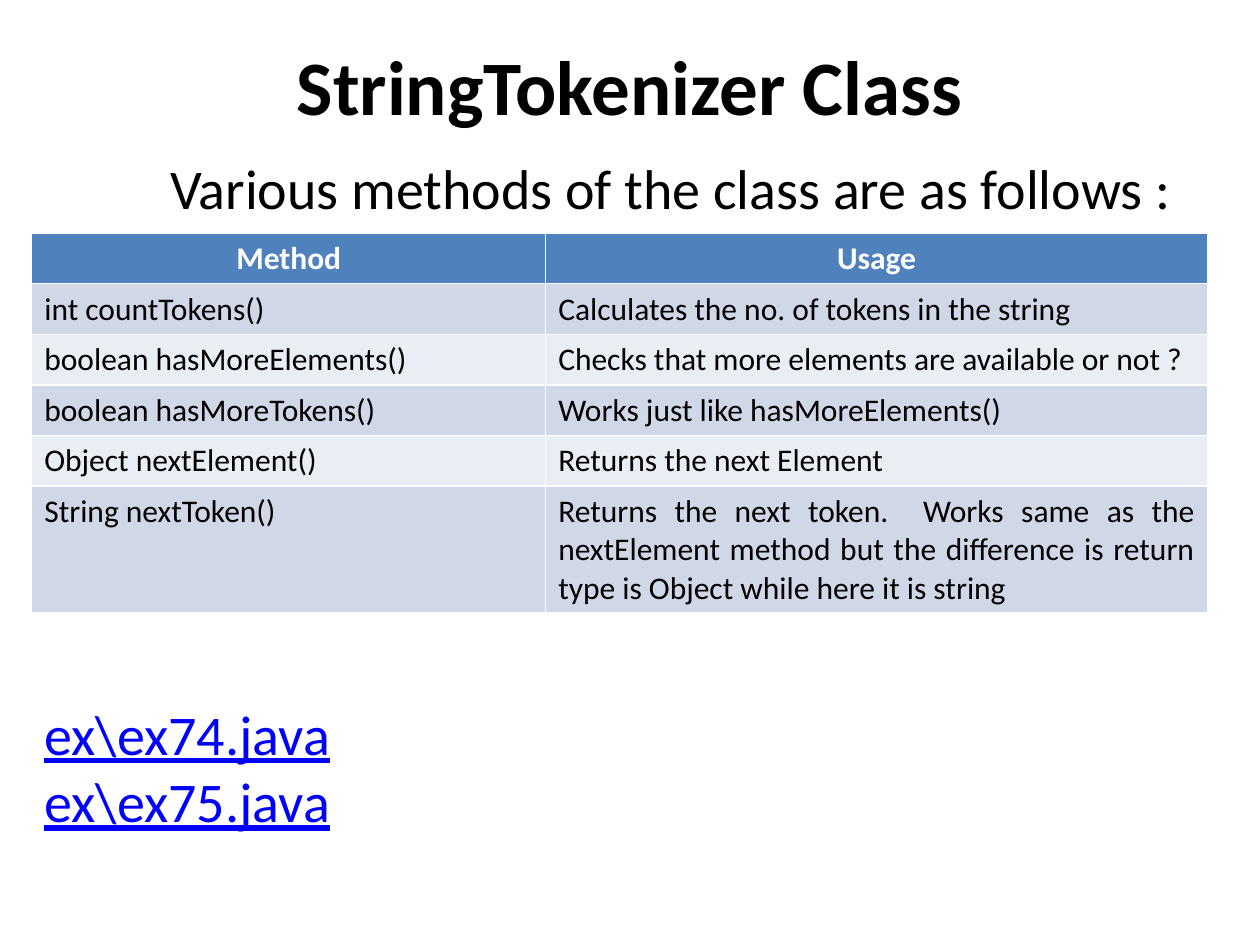
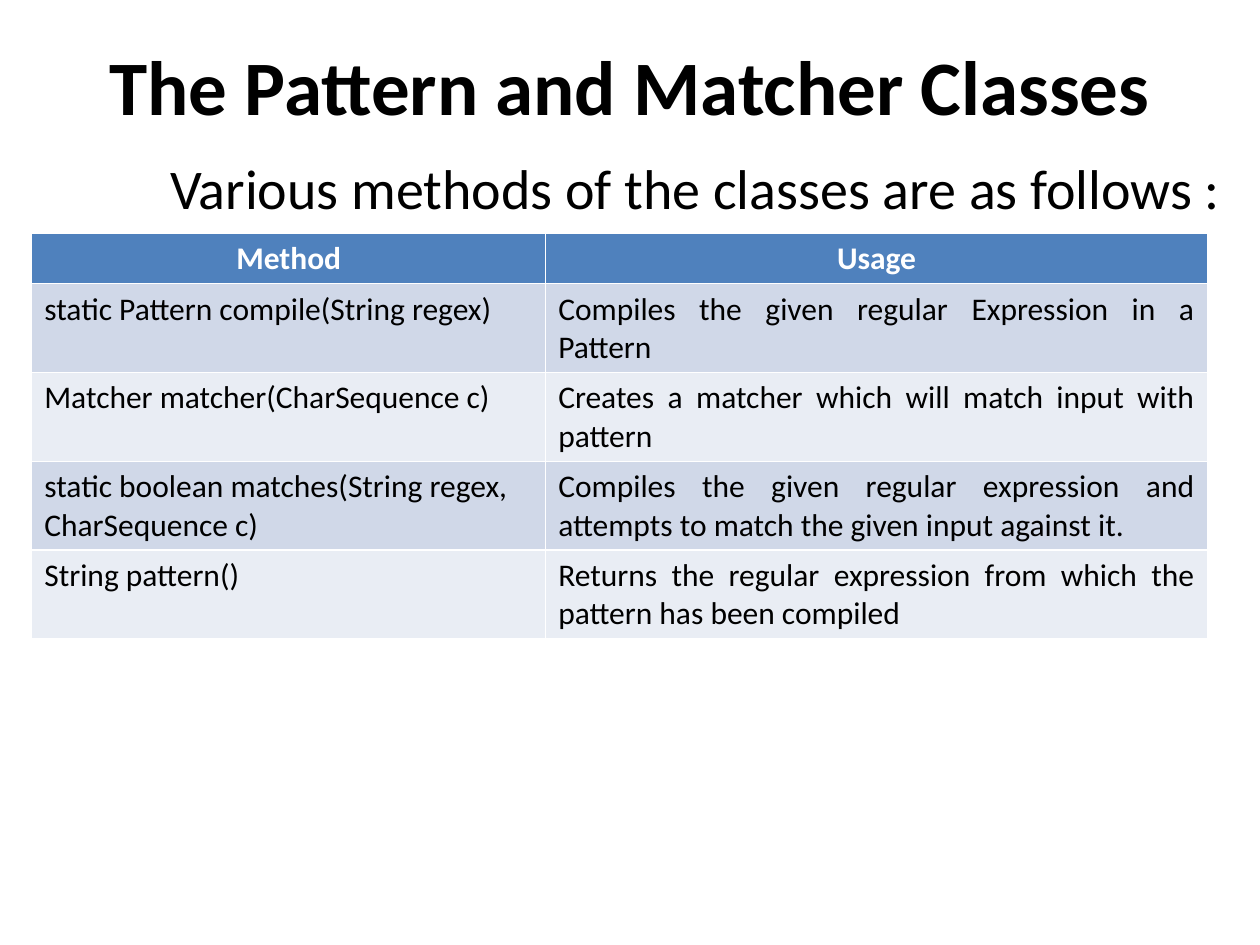
from pptx import Presentation
from pptx import util as u
from pptx.dml.color import RGBColor
from pptx.enum import text

# Content: each table row is (method, usage, lines of text the row needs)
SLIDES = [
    {
        "title": "StringTokenizer Class",
        "intro": "Various methods of the class are as follows :",
        "methods": [
            ("int countTokens()", "Calculates the no. of tokens in the string", 1),
            ("boolean hasMoreElements()",
             "Checks that more elements are available or not ?", 1),
            ("boolean hasMoreTokens()", "Works just like hasMoreElements()", 1),
            ("Object nextElement()", "Returns the next Element", 1),
            ("String nextToken()",
             "Returns the next token.  Works same as the nextElement method but "
             "the difference is return type is Object while here it is string", 3),
        ],
        "examples": ["ex\\ex74.java", "ex\\ex75.java"],
    },
    {
        "title": "The Pattern and Matcher Classes",
        "intro": "Various methods of the classes are as follows :",
        "methods": [
            ("static Pattern compile(String regex)",
             "Compiles the given regular Expression in a Pattern", 2),
            ("Matcher matcher(CharSequence c)",
             "Creates a matcher which will match input with pattern", 2),
            ("static boolean matches(String regex, CharSequence c)",
             "Compiles the given regular expression and attempts to match "
             "the given input against it.", 2),
            ("String pattern()",
             "Returns the regular expression from which the pattern has been compiled", 2),
        ],
        "examples": [],
    },
]
HEADER = ("Method", "Usage", 1)

# Shared style, lengths in centimetres
COLOURS = {"text": "000000", "header text": "FFFFFF", "header": "4F81BD",
           "odd row": "D0D8E8", "even row": "E9EDF4", "example": "0000FF"}
FONT = "Calibri"
SLIDE_WIDTH, SLIDE_HEIGHT = 25.4, 19.05
LEFT, BODY_WIDTH = 0.64, 24.33
COLUMN_WIDTHS = (10.36, 13.34)
TABLE_TOP = 4.7
LINE_HEIGHT, CELL_PADDING = 0.77, 0.25
LEFT_ALIGN, CENTRE, JUSTIFY = (text.PP_ALIGN.LEFT, text.PP_ALIGN.CENTER,
                               text.PP_ALIGN.JUSTIFY)


def write(frame, lines, size=32, colour="text", bold=False, underline=False,
          align=JUSTIFY, indent=0):
    """Fill a text frame with one paragraph per line."""
    for number, line in enumerate(lines):
        paragraph = frame.add_paragraph() if number else frame.paragraphs[0]
        paragraph.alignment = align
        if indent:
            paragraph._p.get_or_add_pPr().set("indent", str(u.Cm(indent)))
        run = paragraph.add_run()
        run.text = line
        run.font.name, run.font.size = FONT, u.Pt(size)
        run.font.bold, run.font.underline = bold, underline
        run.font.color.rgb = RGBColor.from_string(COLOURS[colour])


def add_text(slide, lines, left, top, width, height,
             anchor=text.MSO_ANCHOR.TOP, **style):
    shape = slide.shapes.add_textbox(u.Cm(left), u.Cm(top), u.Cm(width), u.Cm(height))
    shape.text_frame.word_wrap = True
    shape.text_frame.vertical_anchor = anchor
    write(shape.text_frame, lines, **style)


def add_method_table(slide, methods):
    rows = [HEADER] + methods
    heights = [CELL_PADDING + LINE_HEIGHT * lines for *_, lines in rows]
    table = slide.shapes.add_table(
        len(rows), len(COLUMN_WIDTHS), u.Cm(LEFT), u.Cm(TABLE_TOP),
        u.Cm(sum(COLUMN_WIDTHS)), u.Cm(sum(heights))).table
    for column, width in zip(table.columns, COLUMN_WIDTHS):
        column.width = u.Cm(width)
    for number, (method, usage, _) in enumerate(rows):
        table.rows[number].height = u.Cm(heights[number])
        fill = "header" if number == 0 else "odd row" if number % 2 else "even row"
        for cell, words, align in zip(table.rows[number].cells, (method, usage),
                                      (LEFT_ALIGN, JUSTIFY)):
            cell.fill.solid()
            cell.fill.fore_color.rgb = RGBColor.from_string(COLOURS[fill])
            if number == 0:
                write(cell.text_frame, [words], size=18, colour="header text",
                      bold=True, align=CENTRE)
            else:
                write(cell.text_frame, [words], size=18, align=align)


def main():
    presentation = Presentation()
    presentation.slide_width = u.Cm(SLIDE_WIDTH)
    presentation.slide_height = u.Cm(SLIDE_HEIGHT)
    for content in SLIDES:
        slide = presentation.slides.add_slide(presentation.slide_layouts[6])
        # Title and introduction
        add_text(slide, [content["title"]], 0, 0.43, SLIDE_WIDTH, 2.54,
                 anchor=text.MSO_ANCHOR.MIDDLE, size=44, bold=True, align=CENTRE)
        add_text(slide, [content["intro"]], LEFT, 2.97, BODY_WIDTH, 1.62, indent=2.54)
        # Methods, then example files
        add_method_table(slide, content["methods"])
        if content["examples"]:
            add_text(slide, content["examples"], LEFT, 13.97, BODY_WIDTH, 3,
                     colour="example", underline=True)
    presentation.save("out.pptx")


if __name__ == "__main__":
    main()
